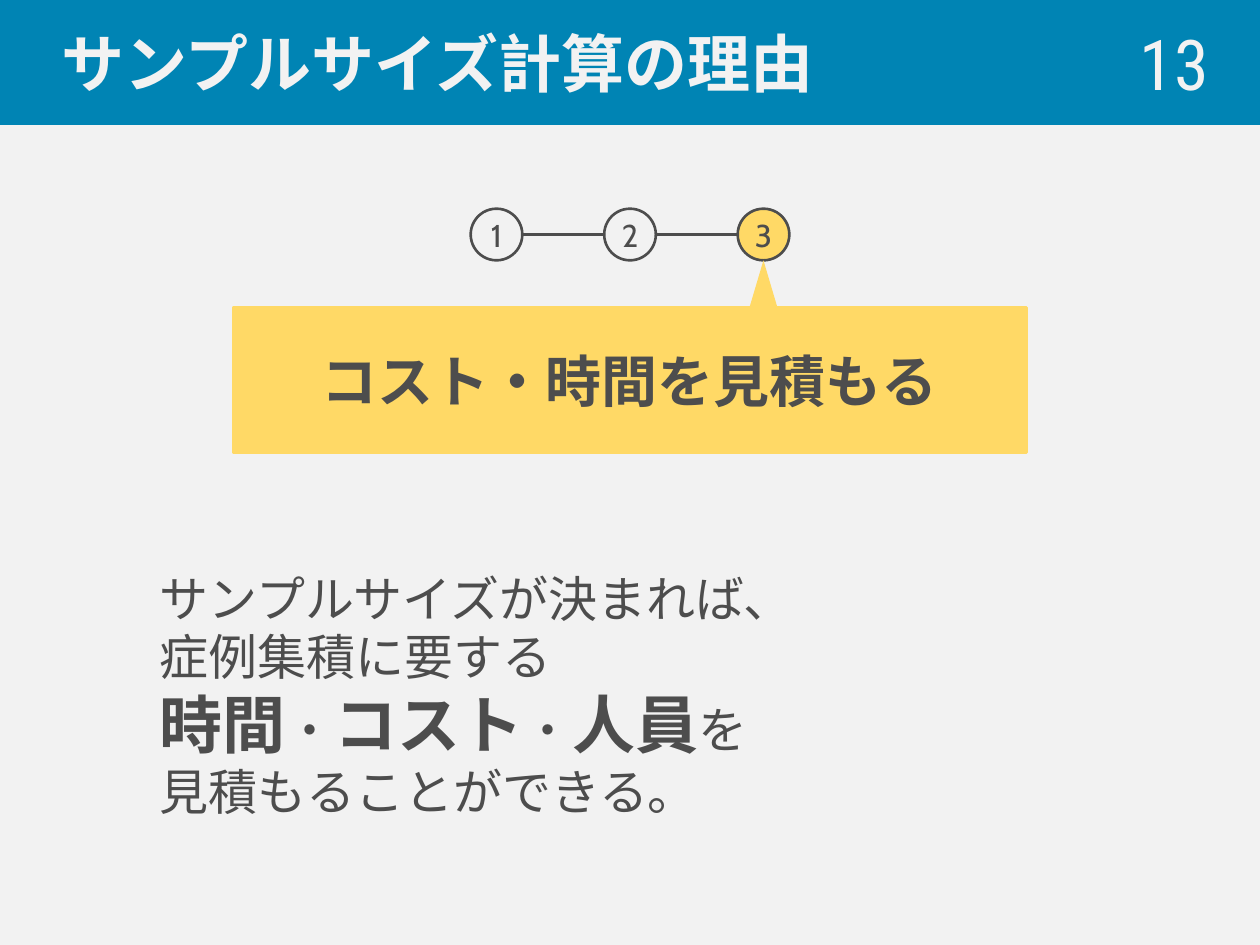
from lxml import etree
from pptx import Presentation
from pptx.dml.color import RGBColor
from pptx.enum.shapes import MSO_CONNECTOR as CONN, MSO_SHAPE as SHAPE
from pptx.enum.text import MSO_ANCHOR as ANCHOR, PP_ALIGN as ALIGN
from pptx.oxml.ns import qn
from pptx.util import Pt

COLORS = {"back": "F2F2F2", "blue": "0084B4", "ink": "4D4D4D", "yellow": "FFD966"}
TITLE = "サンプルサイズ計算の理由"
PAGE = "13"
STEPS = ["1", "2", "3"]
CURRENT = "3"
MESSAGE = "コスト・時間を見積もる"
BIG = {"size": 36, "bold": True}
BODY = [
    [("サンプルサイズが決まれば、", {})],
    [("症例集積に要する", {}), ("\n", {}),
     ("時間", BIG), ("・", {}), ("コスト", BIG), ("・", {}), ("人員", BIG), ("を", {})],
    [("見積もることができる。", {})],
]

WIDTH, HEIGHT = 720, 540
DIAMETER, PITCH, STEP_Y = 29.5, 76.3, 134
BOX_W, BOX_H, BOX_TOP = 453.6, 82.8, 175.7
TIP_W = 16


def rgb(name):
    return RGBColor.from_string(COLORS[name])


def add_text(p, text, size=28, font="Cabin", color="ink", bold=False):
    r = p.add_run()
    r.text = text
    r.font.size, r.font.bold, r.font.name = Pt(size), bold, font
    r.font.color.rgb = rgb(color)
    etree.SubElement(r.font._element, qn("a:ea")).set("typeface", font)


def add_shape(kind, x, y, w, h, fill=None, line=None):
    sp = s.shapes.add_shape(kind, Pt(x), Pt(y), Pt(w), Pt(h))
    sp.shadow.inherit = False
    if fill:
        sp.fill.solid()
        sp.fill.fore_color.rgb = rgb(fill)
    else:
        sp.fill.background()
    if line:
        sp.line.color.rgb = rgb(line)
        sp.line.width = Pt(1.5)
    else:
        sp.line.fill.background()
    return sp


def first_paragraph(sp, align, anchor=ANCHOR.MIDDLE):
    tf = sp.text_frame
    tf.word_wrap = True
    tf.vertical_anchor = anchor
    p = tf.paragraphs[0]
    p.alignment = align
    return p


def add_link(x1, x2, y):
    c = s.shapes.add_connector(CONN.STRAIGHT, Pt(x1), Pt(y), Pt(x2), Pt(y))
    c.line.color.rgb = rgb("ink")
    c.line.width = Pt(1.5)
    etree.SubElement(c._element.spPr, qn("a:effectLst"))


prs = Presentation()
prs.slide_width, prs.slide_height = Pt(WIDTH), Pt(HEIGHT)
s = prs.slides.add_slide(prs.slide_layouts[6])
s.background.fill.solid()
s.background.fill.fore_color.rgb = rgb("back")

header = add_shape(SHAPE.RECTANGLE, 0, 0, WIDTH, 70.6, "blue", "blue")
header.text_frame.margin_left = Pt(35.3)
add_text(first_paragraph(header, ALIGN.LEFT), TITLE,
         size=36, font="Noto Sans CJK JP", color="back", bold=True)

page = s.shapes.add_textbox(Pt(558.7), Pt(13.7), Pt(139), Pt(43.9))
add_text(first_paragraph(page, ALIGN.RIGHT), PAGE,
         size=40, font="Roboto Condensed", color="back")

radius = DIAMETER / 2
centers = [WIDTH / 2 + (i - (len(STEPS) - 1) / 2) * PITCH for i in range(len(STEPS))]
for step, x in zip(STEPS, centers):
    circle = add_shape(SHAPE.OVAL, x - radius, STEP_Y - radius, DIAMETER, DIAMETER,
                       "yellow" if step == CURRENT else None, "ink")
    tf = circle.text_frame
    tf.margin_left = tf.margin_right = tf.margin_top = tf.margin_bottom = 0
    add_text(first_paragraph(circle, ALIGN.CENTER), step, size=18)
for a, b in zip(centers, centers[1:]):
    add_link(a + radius, b - radius, STEP_Y)

box = add_shape(SHAPE.RECTANGLE, (WIDTH - BOX_W) / 2, BOX_TOP, BOX_W, BOX_H,
                "yellow", "yellow")
add_text(first_paragraph(box, ALIGN.CENTER), MESSAGE, size=32, bold=True)
tip_top = STEP_Y + radius
add_shape(SHAPE.ISOSCELES_TRIANGLE, centers[STEPS.index(CURRENT)] - TIP_W / 2, tip_top,
          TIP_W, BOX_TOP - tip_top, "yellow")

body = s.shapes.add_textbox(Pt(84.2), Pt(321.1), Pt(543.6), Pt(152.6))
p = first_paragraph(body, ALIGN.LEFT, ANCHOR.TOP)
for i, runs in enumerate(BODY):
    if i:
        p = body.text_frame.add_paragraph()
    for text, style in runs:
        if text == "\n":
            p.add_line_break()
        else:
            add_text(p, text, **style)

prs.save("out.pptx")
